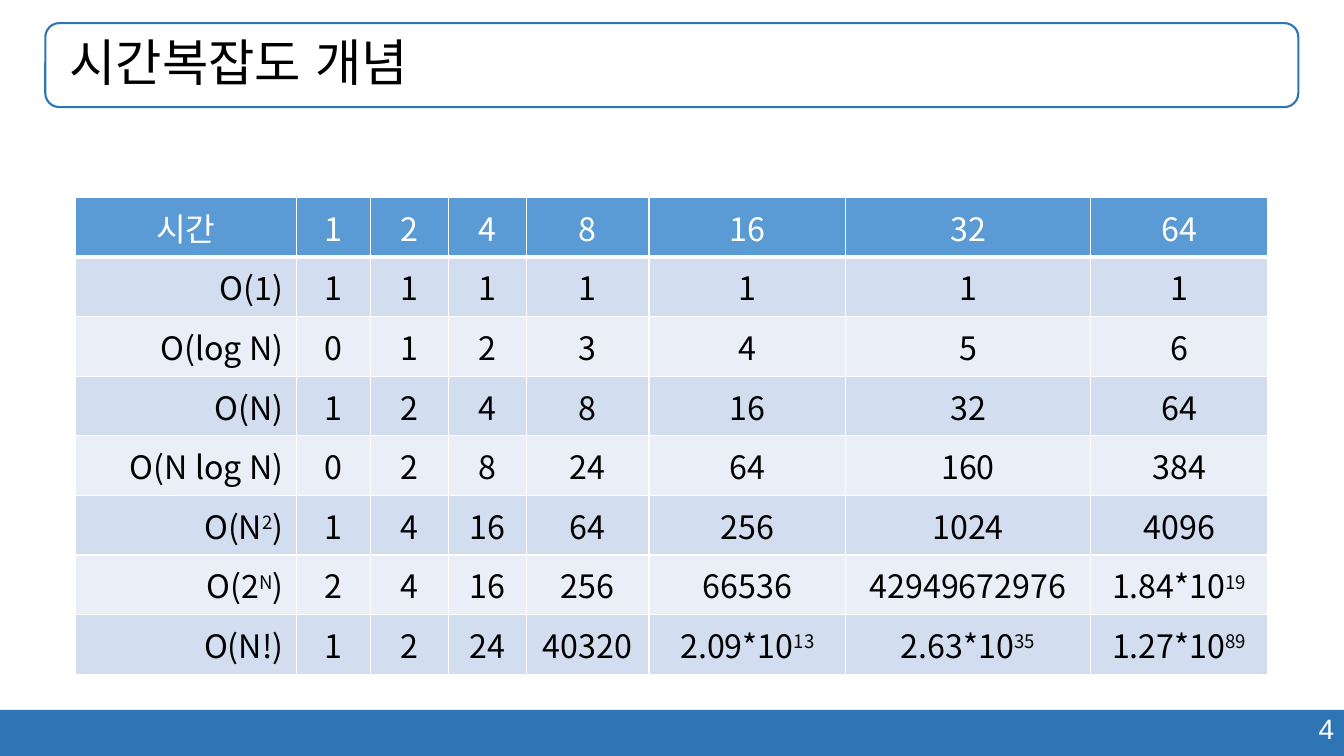
from pptx import Presentation
from pptx import util as u
from pptx.dml.color import RGBColor
from pptx.enum import lang, shapes, text
from pptx.oxml import parse_xml
from pptx.oxml.ns import nsdecls

# Content; text between ^ marks is superscript
TITLE = "시간복잡도 개념"
PAGE_NUMBER = "4"
ROWS = [
    ("시간", "1", "2", "4", "8", "16", "32", "64"),
    ("O(1)", "1", "1", "1", "1", "1", "1", "1"),
    ("O(log N)", "0", "1", "2", "3", "4", "5", "6"),
    ("O(N)", "1", "2", "4", "8", "16", "32", "64"),
    ("O(N log N)", "0", "2", "8", "24", "64", "160", "384"),
    ("O(N^2^)", "1", "4", "16", "64", "256", "1024", "4096"),
    ("O(2^N^)", "2", "4", "16", "256", "66536", "42949672976", "1.84*10^19^"),
    ("O(N!)", "1", "2", "24", "40320", "2.09*10^13^", "2.63*10^35^", "1.27*10^89^"),
]

# Format and layout, in points
COLORS = {"blue": "2E75B6", "header": "5B9BD5", "odd": "D2DEEF",
          "even": "EAEFF7", "white": "FFFFFF", "black": "000000"}
WIDTH, HEIGHT = 960, 540
TITLE_BOX = (32.4, 16.5, 895, 60)
FOOTER_TOP = 507
NUMBER_BOX = (679, 504.7, 281, 31.7)
TABLE_LEFT, TABLE_TOP, ROW_HEIGHT = 54, 141, 36.6
COLUMN_WIDTHS = (157.7, 53.2, 55.5, 55.5, 87.8, 140.4, 175, 126.7)
CELL_FORMAT = {"margin_left": u.Pt(9.2), "margin_right": u.Pt(9.2),
               "margin_top": u.Pt(4.6), "margin_bottom": u.Pt(4.6),
               "vertical_anchor": text.MSO_ANCHOR.MIDDLE}


def rgb(name):
    return RGBColor.from_string(COLORS[name])


def points(values):
    return [u.Pt(value) for value in values]


def set_all(target, values):
    for name, value in values.items():
        setattr(target, name, value)


def write(para, content, size, font, color, align):
    para.alignment = align
    for index, part in enumerate(content.split("^")):
        if not part:
            continue
        span = para.add_run()
        span.text = part
        set_all(span.font, {"size": u.Pt(size), "name": font,
                            "language_id": lang.MSO_LANGUAGE_ID.KOREAN})
        span.font.color.rgb = rgb(color)
        if index % 2:
            span._r.get_or_add_rPr().set("baseline", "30000")


def add_borders(cell, bottom):
    properties = cell._tc.get_or_add_tcPr()
    for side, width in (("L", 1), ("R", 1), ("T", 1), ("B", bottom)):
        properties.append(parse_xml(
            f'<a:ln{side} {nsdecls("a")} w="{u.Pt(width)}"><a:solidFill>'
            f'<a:srgbClr val="{COLORS["white"]}"/></a:solidFill></a:ln{side}>'))


deck = Presentation()
deck.slide_width, deck.slide_height = points((WIDTH, HEIGHT))
page = deck.slides.add_slide(deck.slide_layouts[5])

# Footer band and page number
footer = page.shapes.add_shape(
    shapes.MSO_SHAPE.RECTANGLE, *points((0, FOOTER_TOP, WIDTH, HEIGHT - FOOTER_TOP)))
footer.shadow.inherit = False
footer.fill.solid()
footer.fill.fore_color.rgb = rgb("blue")
footer.line.fill.background()

number = page.shapes.add_textbox(*points(NUMBER_BOX)).text_frame
set_all(number, {"word_wrap": True, "auto_size": text.MSO_AUTO_SIZE.SHAPE_TO_FIT_TEXT})
write(number.paragraphs[0], PAGE_NUMBER, 20, "Arial", "white", text.PP_ALIGN.RIGHT)

# Title with rounded frame behind it
frame = page.shapes.add_shape(shapes.MSO_SHAPE.ROUNDED_RECTANGLE, *points(TITLE_BOX))
frame.shadow.inherit = False
frame.fill.background()
frame.line.color.rgb = rgb("blue")
frame.line.width = u.Pt(1.5)

title = page.shapes.title
set_all(title, dict(zip(("left", "top", "width", "height"), points(TITLE_BOX))))
set_all(title.text_frame, {"margin_left": u.Pt(17.2), "word_wrap": True,
                           "auto_size": text.MSO_AUTO_SIZE.NONE,
                           "vertical_anchor": text.MSO_ANCHOR.MIDDLE})
heading = title.text_frame.paragraphs[0]
heading.line_spacing = 0.9
write(heading, TITLE, 36, "Arial", "black", text.PP_ALIGN.LEFT)
page.shapes._spTree.append(title._element)

# Complexity table
table = page.shapes.add_table(
    len(ROWS), len(COLUMN_WIDTHS),
    *points((TABLE_LEFT, TABLE_TOP, sum(COLUMN_WIDTHS), ROW_HEIGHT * len(ROWS)))).table
for column, width in zip(table.columns, COLUMN_WIDTHS):
    column.width = u.Pt(width)
for row_index, row in enumerate(ROWS):
    table.rows[row_index].height = u.Pt(ROW_HEIGHT)
    is_header = row_index == 0
    fill = "header" if is_header else ("even", "odd")[row_index % 2]
    for column_index, content in enumerate(row):
        cell = table.cell(row_index, column_index)
        set_all(cell, CELL_FORMAT)
        add_borders(cell, 3 if is_header else 1)
        cell.fill.solid()
        cell.fill.fore_color.rgb = rgb(fill)
        is_label = column_index == 0 and not is_header
        write(cell.text_frame.paragraphs[0], content, 23, "Noto Sans CJK KR",
              "white" if is_header else "black",
              text.PP_ALIGN.RIGHT if is_label else text.PP_ALIGN.CENTER)
        if is_header:
            cell.text_frame.paragraphs[0].runs[0].font.bold = False

deck.save("out.pptx")
